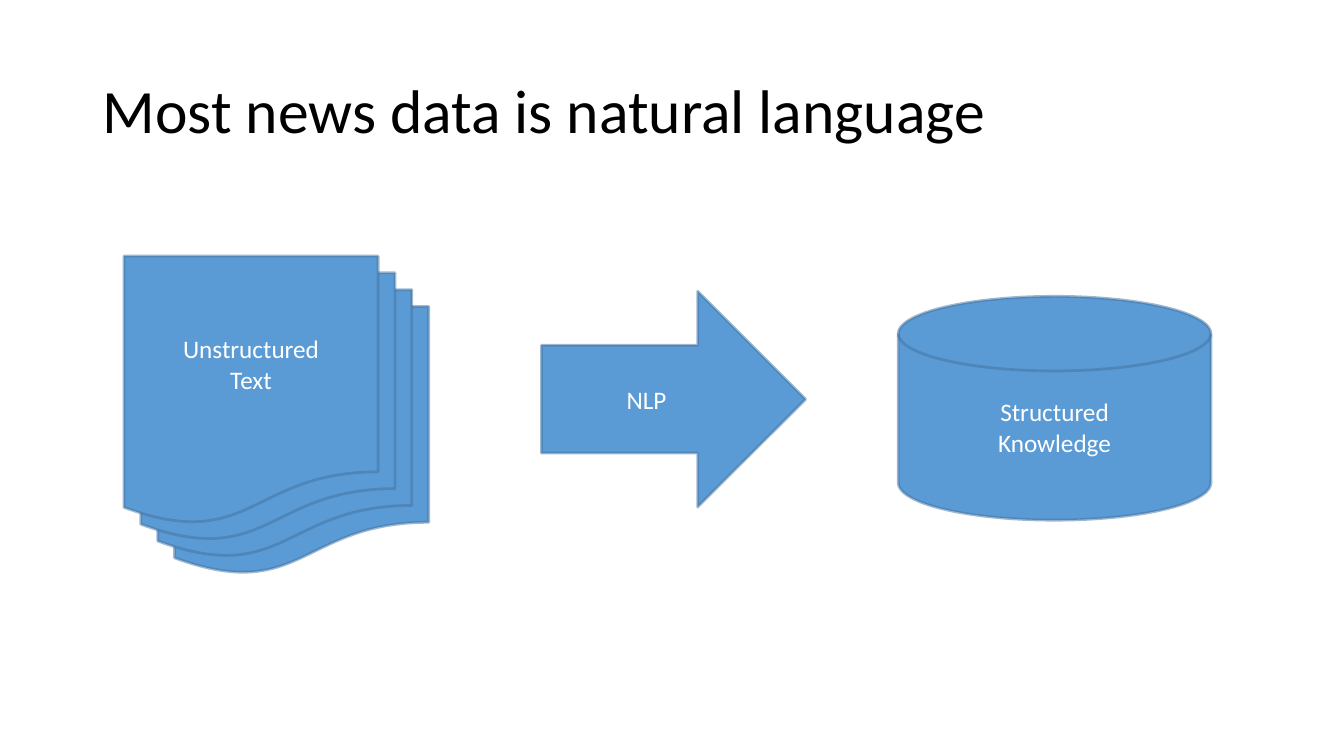
from lxml.etree import SubElement
from pptx import Presentation
from pptx.dml.color import RGBColor
from pptx.enum.shapes import MSO_SHAPE
from pptx.enum.text import MSO_ANCHOR, PP_ALIGN
from pptx.oxml.ns import qn
from pptx.util import Inches, Pt

TITLE = "Most news data is natural language"
FONT = "Calibri"
BLUE, EDGE, WHITE, BLACK = "5B9BD5", "43739E", "FFFFFF", "000000"
EDGE_OPACITY = 49

PAGE_COUNT = 4
PAGE_STEP = 0.167
FRONT_PAGE = (1.23, 2.54, 2.52, 2.67)
PAGE_LINES = ["Unstructured", "Text"]

STAGES = [
    (MSO_SHAPE.FLOWCHART_MAGNETIC_DISK, (8.91, 2.94, 3.1, 2.22), ["Structured", "Knowledge"]),
    (MSO_SHAPE.RIGHT_ARROW, (5.37, 2.89, 2.62, 2.14), ["NLP"]),
]


def color(hex_string):
    return RGBColor.from_string(hex_string)


def write(frame, lines, size, hex_string, alignment, spacing=1.0):
    frame.word_wrap = True
    frame.vertical_anchor = MSO_ANCHOR.MIDDLE
    frame.text = "\n".join(lines)
    for paragraph in frame.paragraphs:
        paragraph.alignment = alignment
        paragraph.line_spacing = spacing
        paragraph.font.name = FONT
        paragraph.font.size = Pt(size)
        paragraph.font.color.rgb = color(hex_string)


def add_stage(slide, kind, box, lines):
    shape = slide.shapes.add_shape(kind, *map(Inches, box))
    shape.shadow.inherit = False
    shape.fill.solid()
    shape.fill.fore_color.rgb = color(BLUE)
    shape.line.width = Pt(2)
    shape.line.color.rgb = color(EDGE)
    edge = shape.line._get_or_add_ln().find(".//" + qn("a:srgbClr"))
    SubElement(edge, qn("a:alpha"), val=str(EDGE_OPACITY * 1000))
    if lines:
        write(shape.text_frame, lines, 18, WHITE, PP_ALIGN.CENTER)


def main():
    presentation = Presentation()
    presentation.slide_width = Inches(13.33)
    presentation.slide_height = Inches(7.5)
    slide = presentation.slides.add_slide(presentation.slide_layouts[6])

    title = slide.shapes.add_textbox(Inches(0.92), Inches(0.4), Inches(11.5), Inches(1.45))
    write(title.text_frame, [TITLE], 44, BLACK, PP_ALIGN.LEFT, 0.9)

    left, top, width, height = FRONT_PAGE
    for depth in reversed(range(PAGE_COUNT)):
        shift = depth * PAGE_STEP
        box = (left + shift, top + shift, width, height)
        add_stage(slide, MSO_SHAPE.FLOWCHART_DOCUMENT, box, [] if depth else PAGE_LINES)

    for kind, box, lines in STAGES:
        add_stage(slide, kind, box, lines)

    presentation.save("out.pptx")


if __name__ == "__main__":
    main()
